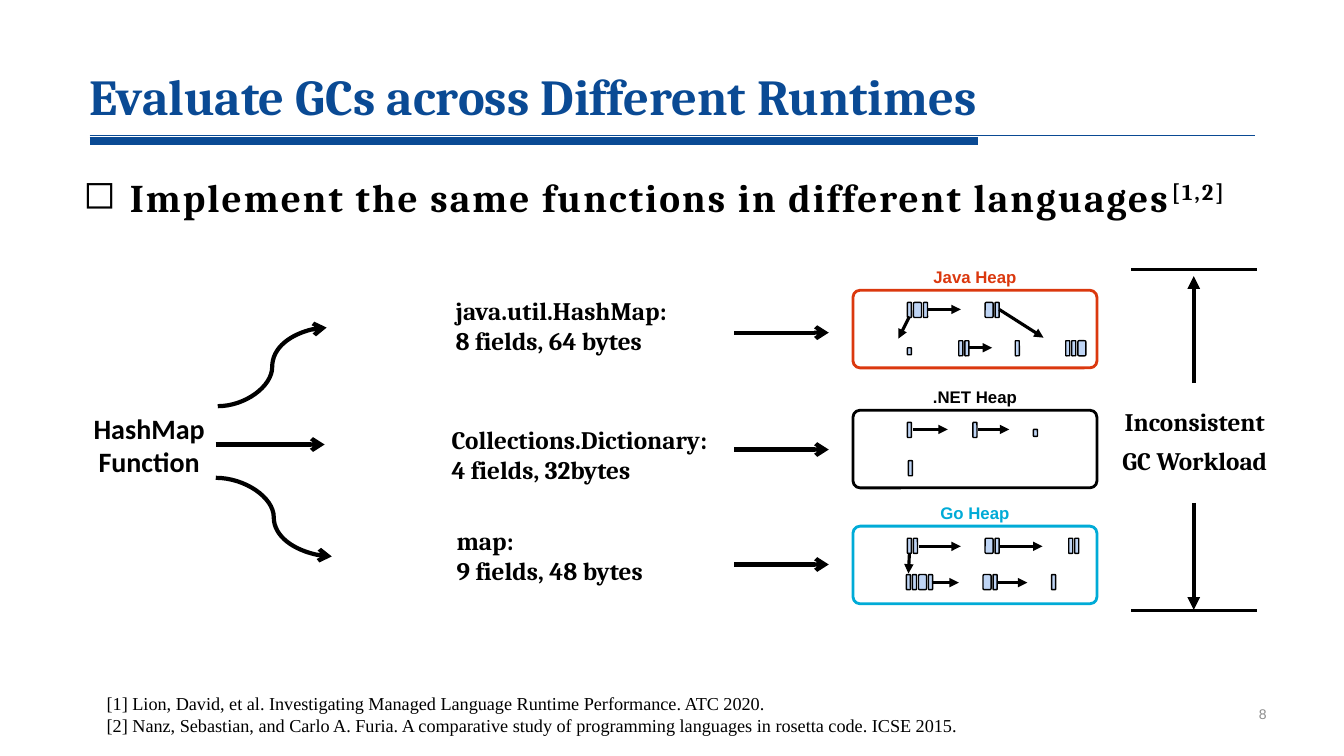
from dataclasses import dataclass

from lxml import etree
from pptx import Presentation
from pptx.dml.color import RGBColor
from pptx.enum import shapes, text
from pptx.oxml import ns
from pptx.util import Inches, Pt


@dataclass(frozen=True)
class Theme:
    serif: str = "Cambria"
    sans: str = "Arial"
    notes: str = "Times New Roman"
    rounded: str = "Calibri"
    blue: str = "0A4A94"
    black: str = "000000"
    grey: str = "8C8C8C"
    red: str = "DB380E"
    cyan: str = "00ABD7"
    cell: str = "BFD5F5"
    title: int = 36
    point: int = 28
    function: int = 20
    label: int = 18
    reference: int = 13
    heap: int = 12
    number: int = 10


theme = Theme()
LEFT, CENTER, RIGHT = text.PP_ALIGN.LEFT, text.PP_ALIGN.CENTER, text.PP_ALIGN.RIGHT

deck = Presentation()
deck.slide_width, deck.slide_height = Inches(13.33), Inches(7.5)
page = deck.slides.add_slide(deck.slide_layouts[5])


def write(box, lines, size, font=theme.serif, color=theme.black, bold=True, align=LEFT, spacing=None):
    """Fill a box with one paragraph per line, all in the same style."""
    frame = box.text_frame
    frame.word_wrap = True
    frame.text = "\n".join(lines)
    for para in frame.paragraphs:
        para.alignment = align
        para.line_spacing = spacing
        para.font.name, para.font.size, para.font.bold = font, Pt(size), bold
        para.font.color.rgb = RGBColor.from_string(color)
    return frame


def connect(start, end, width, head=None, color=theme.black, kind=shapes.MSO_CONNECTOR.STRAIGHT):
    """Draw a line between two points, with an optional arrowhead at its end."""
    link = page.shapes.add_connector(kind, *(Inches(value) for value in (*start, *end)))
    link.line.color.rgb = RGBColor.from_string(color)
    link.line.width = Pt(width)
    properties = link._element.spPr
    if head:
        etree.SubElement(properties.find(ns.qn("a:ln")), ns.qn("a:tailEnd"), type=head)
    etree.SubElement(properties, ns.qn("a:effectLst"))


# Title and its double rule
title = page.shapes.title
title.left, title.top, title.width, title.height = Inches(0.89), Inches(0.64), Inches(11.56), Inches(0.61)
frame = write(title, ["Evaluate GCs across Different Runtimes"], theme.title, color=theme.blue)
frame.vertical_anchor = text.MSO_ANCHOR.MIDDLE
frame.auto_size = text.MSO_AUTO_SIZE.NONE
frame.margin_left = frame.margin_top = frame.margin_right = frame.margin_bottom = 0
connect((0.89, 1.34), (12.45, 1.34), 0.5, color=theme.blue)
connect((0.89, 1.4), (9.7, 1.4), 6, color=theme.blue)

# Main point with a hollow square bullet and raised citations
point = page.shapes.add_textbox(Inches(0.73), Inches(1.53), Inches(11.87), Inches(0.8))
point.text_frame.word_wrap = True
para = point.text_frame.paragraphs[0]
para.line_spacing = 1.3
properties = para._p.get_or_add_pPr()
properties.set("marL", str(Inches(0.46)))
properties.set("indent", str(-Inches(0.46)))
etree.SubElement(properties, ns.qn("a:buChar"), char="◻")
para.font.name, para.font.size, para.font.bold = theme.serif, Pt(theme.point), True
para.font.color.rgb = RGBColor.from_string(theme.black)
for words, raised in [("Implement the same functions in different languages", "0"), ("[1,2]", "30000")]:
    span = para.add_run()
    span.text = words
    span._r.get_or_add_rPr().set("spc", "150")
    span._r.get_or_add_rPr().set("baseline", raised)

# Text blocks: left, top, width, height, lines, style
blocks = [
    (0.46, 4.03, 2.04, 0.77, ["HashMap", "Function"],
     dict(size=theme.function, font=theme.rounded, align=CENTER)),
    (4.42, 2.88, 3.95, 0.71, ["java.util.HashMap:", "8 fields, 64 bytes"], dict(size=theme.label)),
    (4.38, 4.16, 3.89, 0.71, ["Collections.Dictionary:", "4 fields, 32bytes"], dict(size=theme.label)),
    (4.43, 5.16, 4, 0.71, ["map:", "9 fields, 48 bytes"], dict(size=theme.label)),
    (10.93, 3.89, 1.84, 0.89, ["Inconsistent", "GC Workload"],
     dict(size=theme.label, align=CENTER, spacing=1.3)),
    (0.96, 6.82, 11.82, 0.54, [
        "[1] Lion, David, et al. Investigating Managed Language Runtime Performance. ATC 2020.",
        "[2] Nanz, Sebastian, and Carlo A. Furia. A comparative study of programming languages "
        "in rosetta code. ICSE 2015.",
    ], dict(size=theme.reference, font=theme.notes, bold=False)),
    (9.71, 6.91, 2.95, 0.35, ["8"],
     dict(size=theme.number, font=theme.sans, color=theme.grey, bold=False, align=RIGHT)),
]
for left, top, width, height, lines, style in blocks:
    box = page.shapes.add_textbox(Inches(left), Inches(top), Inches(width), Inches(height))
    frame = write(box, lines, **style)
frame.vertical_anchor = text.MSO_ANCHOR.MIDDLE

# Arrows from the function to the languages, then on to the heaps
connect((2.14, 4.41), (3.22, 4.41), 3, "arrow")
connect((2.16, 4.03), (3.24, 3.25), 3, "arrow", kind=shapes.MSO_CONNECTOR.CURVE)
connect((2.14, 4.74), (3.29, 5.52), 3, "arrow", kind=shapes.MSO_CONNECTOR.CURVE)
for y in (3.3, 4.46, 5.6):
    connect((7.28, y), (8.22, y), 3, "arrow")

# Heaps: name, colour, top, objects (left, top, cells), references (from, to)
CELLS = {"n": (0.04, 0.15), "w": (0.08, 0.15), "s": (0.04, 0.07)}  # narrow, wide, short
CELL_GAP = 0.02
heaps = [
    ("Java Heap", theme.red, 2.88,
     [(9, 3, "nwn"), (9.77, 3, "wn"), (9, 3.45, "s"), (9.51, 3.38, "nn"), (10.07, 3.38, "n"),
      (10.57, 3.38, "nnw")],
     [((9.2, 3.07), (9.53, 3.07)), ((9.02, 3.14), (8.91, 3.36)), ((9.61, 3.45), (9.84, 3.45)),
      ((9.91, 3.07), (10.35, 3.35))]),
    (".NET Heap", theme.black, 4.07,
     [(9, 4.19, "n"), (9.65, 4.19, "n"), (10.25, 4.26, "s"), (9.01, 4.57, "n")],
     [((9.06, 4.26), (9.4, 4.26)), ((9.7, 4.26), (10.01, 4.26))]),
    ("Go Heap", theme.cyan, 5.22,
     [(9, 5.34, "nn"), (9.77, 5.34, "wn"), (10.6, 5.34, "nn"), (8.99, 5.7, "nnwn"),
      (9.75, 5.7, "wn"), (10.43, 5.7, "n")],
     [((9.11, 5.42), (9.53, 5.42)), ((9.91, 5.42), (10.34, 5.42)), ((9.02, 5.49), (9.01, 5.69)),
      ((9.24, 5.78), (9.51, 5.78)), ((9.89, 5.78), (10.19, 5.78))]),
]
for name, color, top, objects, references in heaps:
    for x, y, cells in objects:
        for code in cells:
            width, height = CELLS[code]
            cell = page.shapes.add_shape(shapes.MSO_SHAPE.ROUNDED_RECTANGLE,
                                         Inches(x), Inches(y), Inches(width), Inches(height))
            cell.shadow.inherit = False
            cell.fill.solid()
            cell.fill.fore_color.rgb = RGBColor.from_string(theme.cell)
            cell.line.color.rgb = RGBColor.from_string(theme.black)
            cell.line.width = Pt(1)
            x += width + CELL_GAP
    for start, end in references:
        connect(start, end, 2.25, "triangle")
    border = page.shapes.add_shape(shapes.MSO_SHAPE.ROUNDED_RECTANGLE,
                                   Inches(8.46), Inches(top), Inches(2.42), Inches(0.77))
    border.adjustments[0] = 0.09
    border.shadow.inherit = False
    border.fill.background()
    border.line.color.rgb = RGBColor.from_string(color)
    border.line.width = Pt(2)
    caption = page.shapes.add_textbox(Inches(8.99), Inches(top - 0.28), Inches(1.36), Inches(0.3))
    write(caption, [name], theme.heap, font=theme.sans, color=color, align=CENTER)

# Span of the inconsistent workload
for bar, start, end in [(2.67, 3.8, 2.74), (6.06, 4.99, 6.05)]:
    connect((11.22, bar), (12.47, bar), 2.25)
    connect((11.84, start), (11.84, end), 3, "triangle")

deck.save("out.pptx")
